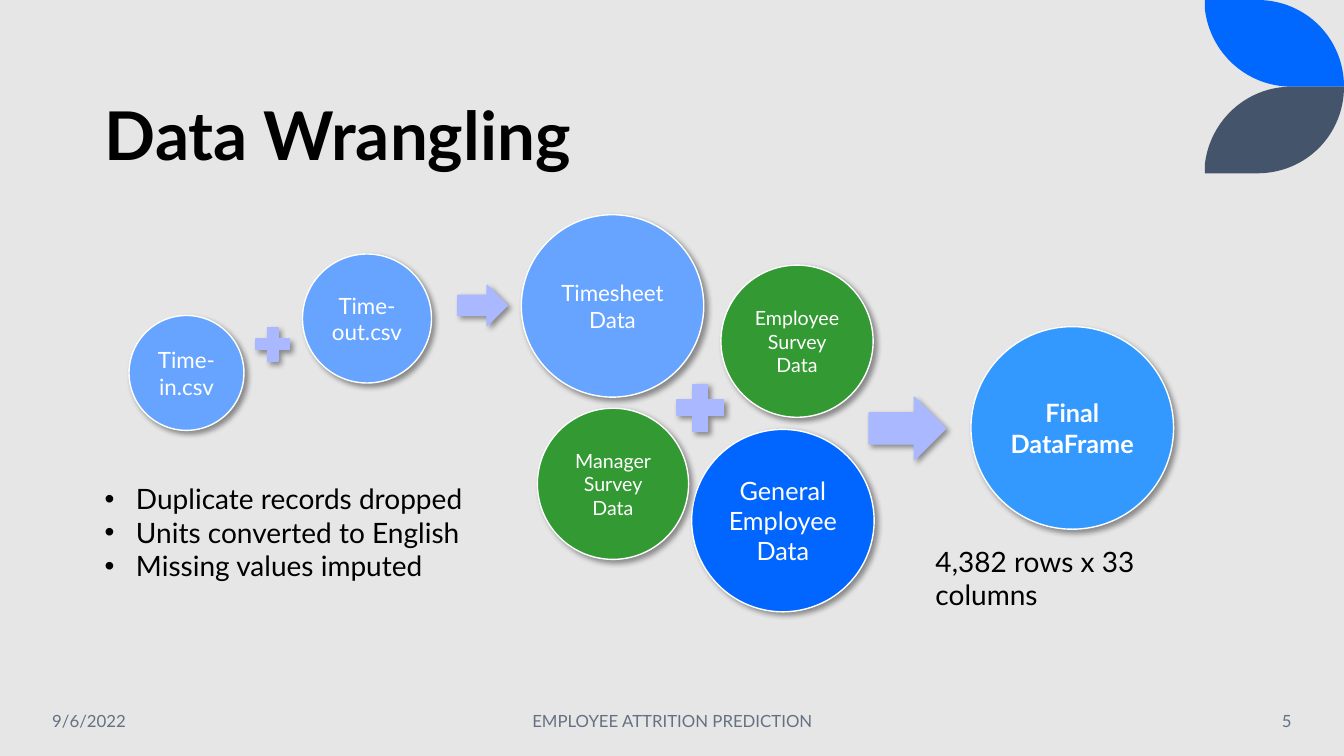
from lxml import etree
from pptx import Presentation
from pptx.dml.color import RGBColor
from pptx.enum.shapes import MSO_SHAPE as Shape
from pptx.enum.text import MSO_ANCHOR as Anchor, MSO_AUTO_SIZE as AutoSize, PP_ALIGN as Align
from pptx.oxml import parse_xml
from pptx.oxml.ns import nsdecls, qn
from pptx.util import Inches, Pt


def write_text(shape, text, size, color="000000", bold=False, align=Align.LEFT,
               anchor=Anchor.TOP, inset=0.1):
    """Fill a shape with one formatted paragraph per line of text."""
    frame = shape.text_frame
    frame.word_wrap = True
    frame.vertical_anchor = anchor
    frame.margin_left = frame.margin_right = Inches(inset)
    frame.margin_top = frame.margin_bottom = Inches(inset / 2)
    frame.text = text
    for paragraph in frame.paragraphs:
        paragraph.alignment = align
        font = paragraph.runs[0].font
        font.name, font.size, font.bold = "Lato", Pt(size), bold
        font.color.rgb = RGBColor.from_string(color)


def paint(shape, fill, line=None, shadow=False):
    shape.shadow.inherit = False
    shape.fill.solid()
    shape.fill.fore_color.rgb = RGBColor.from_string(fill)
    if line:
        shape.line.color.rgb = RGBColor.from_string(line)
        shape.line.width = Pt(1)
    else:
        shape.line.fill.background()
    if shadow:
        effects = shape._element.spPr.find(qn("a:effectLst"))
        effects.append(parse_xml(
            f'<a:outerShdw {nsdecls("a")} blurRad="{Pt(4)}" dist="{Pt(3)}" dir="2700000" '
            'algn="tl" rotWithShape="0"><a:srgbClr val="000000"><a:alpha val="40000"/>'
            '</a:srgbClr></a:outerShdw>'))


presentation = Presentation()
presentation.slide_width, presentation.slide_height = Inches(13.33), Inches(7.5)
slide = presentation.slides.add_slide(presentation.slide_layouts[5])
slide.background.fill.solid()
slide.background.fill.fore_color.rgb = RGBColor.from_string("E7E6E6")
shapes = slide.shapes

# Corner leaves, mirrored about the line where they meet
LEAF_HEIGHT = 0.86
LEAF_CORNERS = [(11.95, 0), (12.47, 0), (13.33, 0.86), (12.81, 0.86), (11.95, 0.09)]
# Control points of the curved edges, by the index of the straight edge they bend
LEAF_CURVES = {1: [(12.95, 0), (13.33, 0.38)], 3: [(12.36, 0.86), (12, 0.52)]}

for color, mirrored in [("0068FF", False), ("44546A", True)]:
    corners, *curves = [
        [(Inches(x), Inches(2 * LEAF_HEIGHT - y if mirrored else y)) for x, y in points]
        for points in (LEAF_CORNERS, *LEAF_CURVES.values())
    ]
    builder = shapes.build_freeform(*corners[0])
    builder.add_line_segments(corners[1:], close=True)
    leaf = builder.convert_to_shape()
    paint(leaf, color)
    edges = list(leaf._element.iter(qn("a:lnTo")))
    for index, controls in zip(LEAF_CURVES, curves):
        edge = edges[index]
        edge.tag = qn("a:cubicBezTo")
        for position, (x, y) in enumerate(controls):
            point = etree.Element(qn("a:pt"), x=str(x - leaf.left), y=str(y - leaf.top))
            edge.insert(position, point)

title = shapes.title
title.left, title.top, title.width, title.height = map(Inches, (0.94, 0.34, 10.69, 1.45))
write_text(title, "Data Wrangling", 48, bold=True, anchor=Anchor.BOTTOM)
title.text_frame.paragraphs[0].line_spacing = 0.9

footers = [
    ("9/6/2022", 0.42, 1.86, Align.LEFT),
    ("EMPLOYEE ATTRITION PREDICTION", 4.42, 4.5, Align.CENTER),
    ("5", 11.1, 1.81, Align.RIGHT),
]
for text, left, width, align in footers:
    box = shapes.add_textbox(Inches(left), Inches(6.95), Inches(width), Inches(0.4))
    write_text(box, text, 12, "637183", align=align, anchor=Anchor.MIDDLE)

# Data sources: text, left, top, diameter, fill, text size, bold
circles = [
    ("Time-in.csv", 1.28, 3.13, 1.14, "66A4FF", 16, False),
    ("Time-out.csv", 3, 2.52, 1.28, "66A4FF", 16, False),
    ("General Employee Data", 6.86, 4.26, 1.81, "0066FF", 18, False),
    ("Timesheet Data", 5.17, 2.13, 1.81, "66A4FF", 16, False),
    ("Employee Survey Data", 7.15, 2.63, 1.51, "339933", 14, False),
    ("Manager Survey Data", 5.33, 4.05, 1.5, "339933", 14, False),
    ("Final DataFrame", 9.63, 3.24, 2.01, "3399FF", 18, True),
]
for text, left, top, diameter, fill, size, bold in circles:
    circle = shapes.add_shape(Shape.OVAL, Inches(left), Inches(top),
                              Inches(diameter), Inches(diameter))
    paint(circle, fill, "FFFFFF", shadow=True)
    write_text(circle, text, size, "FFFFFF", bold, Align.CENTER, Anchor.MIDDLE, inset=0.02)

operators = [
    (Shape.MATH_PLUS, 2.48, 3.19, 0.45, 0.45),
    (Shape.RIGHT_ARROW, 4.54, 2.83, 0.49, 0.4),
    (Shape.MATH_PLUS, 6.63, 3.73, 0.63, 0.63),
    (Shape.RIGHT_ARROW, 8.62, 3.94, 0.76, 0.62),
]
for kind, *bounds in operators:
    paint(shapes.add_shape(kind, *map(Inches, bounds)), "AAB9FF", "AAB9FF", shadow=True)

steps_box = shapes.add_textbox(*map(Inches, (0.94, 4.73, 3.85, 1.11)))
write_text(steps_box, "Duplicate records dropped\nUnits converted to English\nMissing values imputed", 20)
for paragraph in steps_box.text_frame.paragraphs:
    properties = paragraph._p.get_or_add_pPr()
    properties.set("marL", str(Inches(0.31)))
    properties.set("indent", str(-Inches(0.31)))
    etree.SubElement(properties, qn("a:buFont"), typeface="Arial")
    etree.SubElement(properties, qn("a:buChar"), char="•")

result_box = shapes.add_textbox(*map(Inches, (9.18, 5.35, 3.21, 0.44)))
write_text(result_box, "4,382 rows x 33 columns", 20)
for box in (steps_box, result_box):
    box.text_frame.auto_size = AutoSize.SHAPE_TO_FIT_TEXT

presentation.save("out.pptx")
